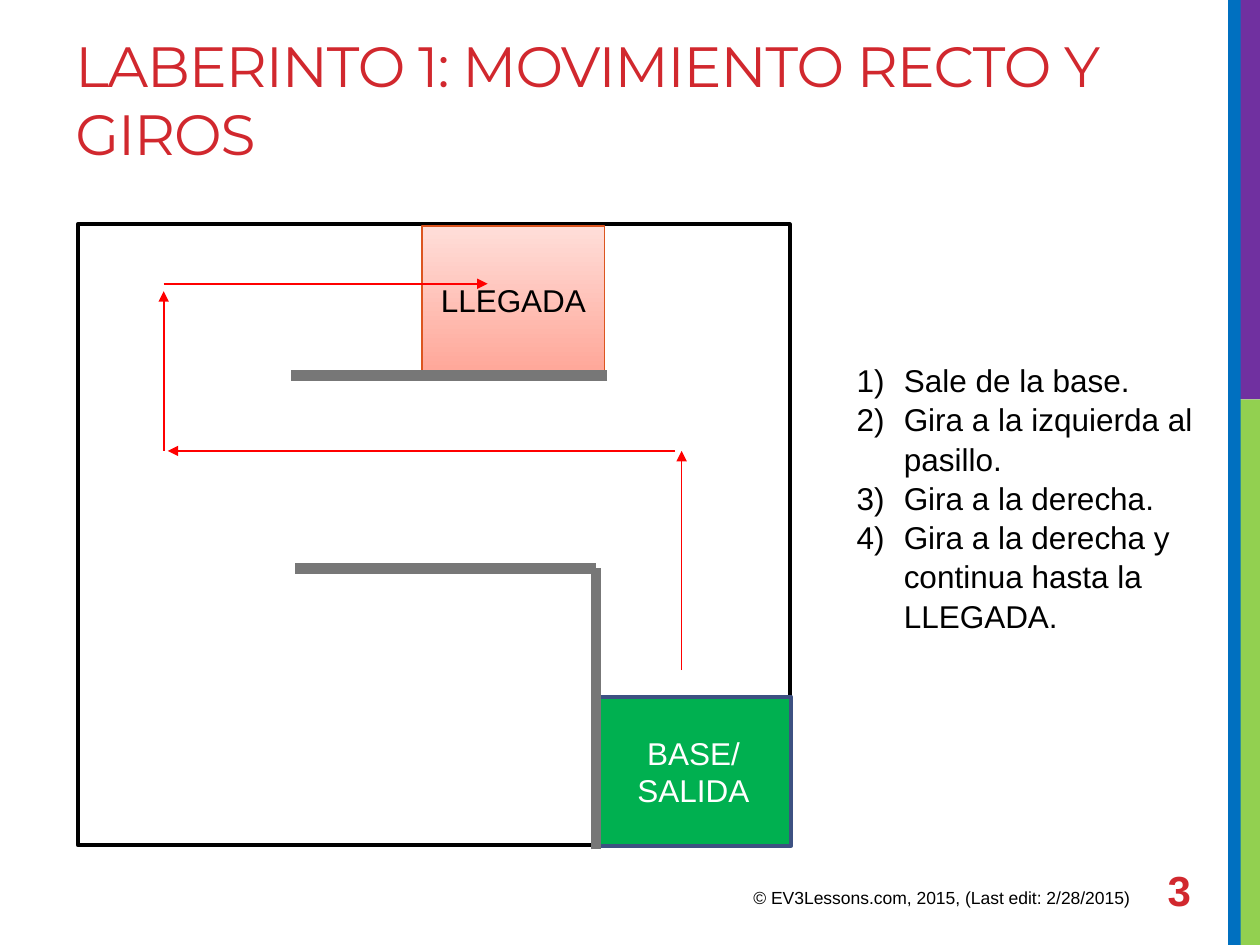
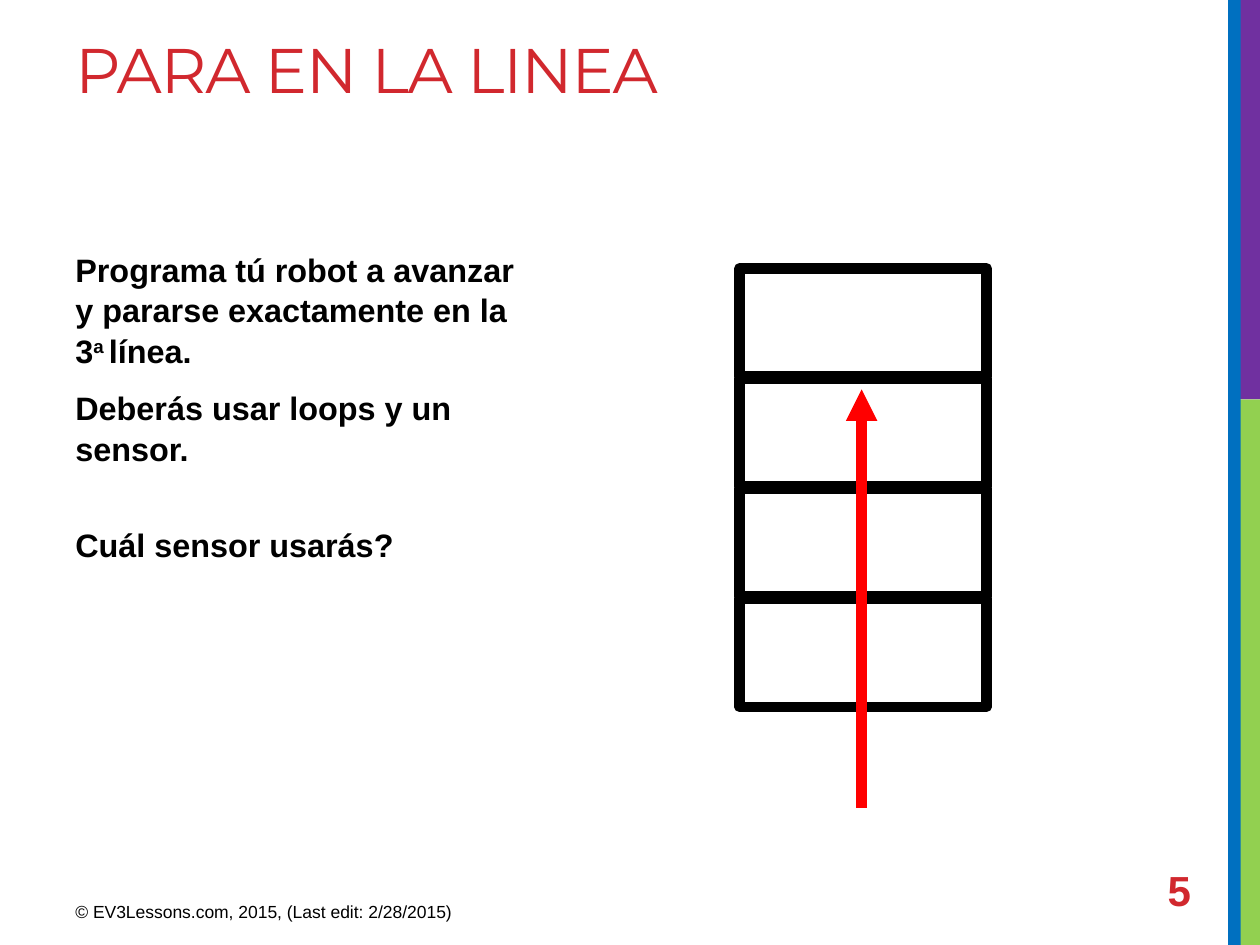
from lxml.etree import SubElement
from pptx import Presentation
from pptx.dml.color import RGBColor
from pptx.enum.shapes import MSO_CONNECTOR as Link, MSO_SHAPE as Preset
from pptx.enum.text import MSO_ANCHOR as Anchor, PP_ALIGN as Align
from pptx.oxml.ns import qn
from pptx.util import Cm, Pt

COLORS = {
    "title": "D1282E", "text": "000000", "white": "FFFFFF",
    "green_band": "92D050", "purple_band": "7030A0", "blue_band": "0070C0",
    "base": "00B050", "base_edge": "3D5182", "goal_edge": "DC551F",
    "goal_dark": "FFA698", "goal_light": "FFDED9",
    "wall": "777777", "route": "FF0000",
}
COPYRIGHT = "© EV3Lessons.com, 2015, (Last edit: 2/28/2015)"


def rgb(name):
    return RGBColor.from_string(COLORS[name])


class Lesson:
    def __init__(self):
        self.deck = Presentation()
        self.deck.slide_width, self.deck.slide_height = Cm(25.4), Cm(19.05)
        self.page = None

    def start(self, title, title_size, number, footer_at):
        self.page = self.deck.slides.add_slide(self.deck.slide_layouts[6])
        self.rect(24.99, 8.05, 0.41, 11, "green_band")
        self.rect(24.89, 0, 0.51, 8.05, "purple_band")
        self.rect(24.76, 0, 0.25, 19.05, "blue_band")
        frame = self.text(1.27, 0.49, 22.9, 3.81)
        span = self.run(frame.paragraphs[0], title, title_size, "title", "Montserrat")
        span.font._element.set("spc", "-60")
        frame = self.text(*footer_at, 9.53, 0.79)
        self.run(frame.paragraphs[0], COPYRIGHT, 10)
        frame = self.text(23.29, 17.42, 1.78, 1.02, Anchor.MIDDLE)
        self.run(frame.paragraphs[0], number, 24, "title", bold=True)

    def run(self, para, words, size, color="text", face="Arial", bold=False, raised=False):
        span = para.add_run()
        span.text = words
        font = span.font
        font.name, font.size, font.bold = face, Pt(size), bold
        font.color.rgb = rgb(color)
        if raised:
            font._element.set("baseline", "30000")
        return span

    def text(self, left, top, width, height, anchor=Anchor.TOP):
        box = self.page.shapes.add_textbox(Cm(left), Cm(top), Cm(width), Cm(height))
        frame = box.text_frame
        frame.word_wrap = True
        frame.vertical_anchor = anchor
        return frame

    def rect(self, left, top, width, height, fill=None, edge=None, weight=2.25):
        box = self.page.shapes.add_shape(
            Preset.RECTANGLE, Cm(left), Cm(top), Cm(width), Cm(height))
        box.shadow.inherit = False
        if fill:
            box.fill.solid()
            box.fill.fore_color.rgb = rgb(fill)
        else:
            box.fill.background()
        if edge:
            box.line.color.rgb = rgb(edge)
            box.line.width = Pt(weight)
        else:
            box.line.fill.background()
        return box

    def label(self, box, words, color):
        frame = box.text_frame
        frame.word_wrap = True
        frame.vertical_anchor = Anchor.MIDDLE
        para = frame.paragraphs[0]
        para.alignment = Align.CENTER
        self.run(para, words, 18, color)

    def gradient(self, box, bottom, top):
        box.fill.gradient()
        box.fill.gradient_angle = 90
        for stop, color, position in zip(box.fill.gradient_stops, (bottom, top), (0, 1)):
            stop.color.rgb = rgb(color)
            stop.position = position

    def line(self, start, end, color, weight, arrow=False):
        link = self.page.shapes.add_connector(
            Link.STRAIGHT, *(Cm(value) for value in (*start, *end)))
        link.line.color.rgb = rgb(color)
        link.line.width = Pt(weight)
        if arrow:
            SubElement(link.line._get_or_add_ln(), qn("a:tailEnd"), type="triangle")
        SubElement(link._element.spPr, qn("a:effectLst"))

    def paragraphs(self, frame, count):
        for index in range(count):
            para = frame.add_paragraph() if index else frame.paragraphs[0]
            para.line_spacing = 1.04
            yield para

    def numbered(self, frame, items):
        for para, item in zip(self.paragraphs(frame, len(items)), items):
            props = para._p.get_or_add_pPr()
            props.set("marL", str(Cm(0.95)))
            props.set("indent", str(-Cm(0.95)))
            SubElement(props, qn("a:buFont"), typeface="+mj-lt")
            SubElement(props, qn("a:buAutoNum"), type="arabicParenR")
            self.run(para, item, 18)


def maze_slide(lesson):
    lesson.start("LABERINTO 1: MOVIMIENTO RECTO Y GIROS", 32.4, "3", (14.94, 17.75))
    lesson.rect(1.57, 4.52, 14.35, 12.52, "white", "text")
    base = lesson.rect(12.01, 14.05, 3.94, 3, "base", "base_edge")
    lesson.label(base, "BASE/ SALIDA", "white")
    goal = lesson.rect(8.51, 4.55, 3.68, 3, "goal_dark", "goal_edge", 1)
    lesson.gradient(goal, "goal_dark", "goal_light")
    lesson.label(goal, "LLEGADA", "text")
    lesson.numbered(lesson.text(17.02, 7.11, 7.37, 5.82, Anchor.MIDDLE), [
        "Sale de la base.",
        "Gira a la izquierda al pasillo.",
        "Gira a la derecha.",
        "Gira a la derecha y continua hasta la LLEGADA.",
    ])
    for start, end in [
        ((12.01, 17.12), (12.01, 11.46)),
        ((12.01, 11.46), (5.94, 11.46)),
        ((12.24, 7.57), (5.87, 7.57)),
    ]:
        lesson.line(start, end, "wall", 6)
    for start, end in [
        ((13.74, 13.51), (13.74, 9.09)),
        ((13.61, 9.09), (3.38, 9.09)),
        ((3.3, 9.09), (3.3, 5.87)),
        ((3.3, 5.72), (9.83, 5.72)),
    ]:
        lesson.line(start, end, "route", 1, arrow=True)


def line_slide(lesson):
    lesson.start("PARA EN LA LINEA", 36, "5", (1.27, 18.03))
    frame = lesson.text(1.27, 4.88, 9.53, 6.55)
    task = [
        (0, ["Programa tú robot a avanzar y pararse exactamente en la 3", "a ", "línea."]),
        (4, ["Deberás usar loops y un sensor."]),
        (26, ["Cuál sensor usarás?"]),
    ]
    for para, (before, pieces) in zip(lesson.paragraphs(frame, len(task)), task):
        para.space_before, para.space_after = Pt(before), Pt(6)
        for piece in pieces:
            lesson.run(para, piece, 18.5, bold=True, raised=piece == "a ")
    for row in range(4):
        lesson.rect(14.91, 5.41 + row * 2.22, 4.98, 2.18, edge="text", weight=6)
    lesson.line((17.37, 16.28), (17.37, 7.85), "route", 6, arrow=True)


def main():
    lesson = Lesson()
    maze_slide(lesson)
    line_slide(lesson)
    lesson.deck.save("out.pptx")


if __name__ == "__main__":
    main()
